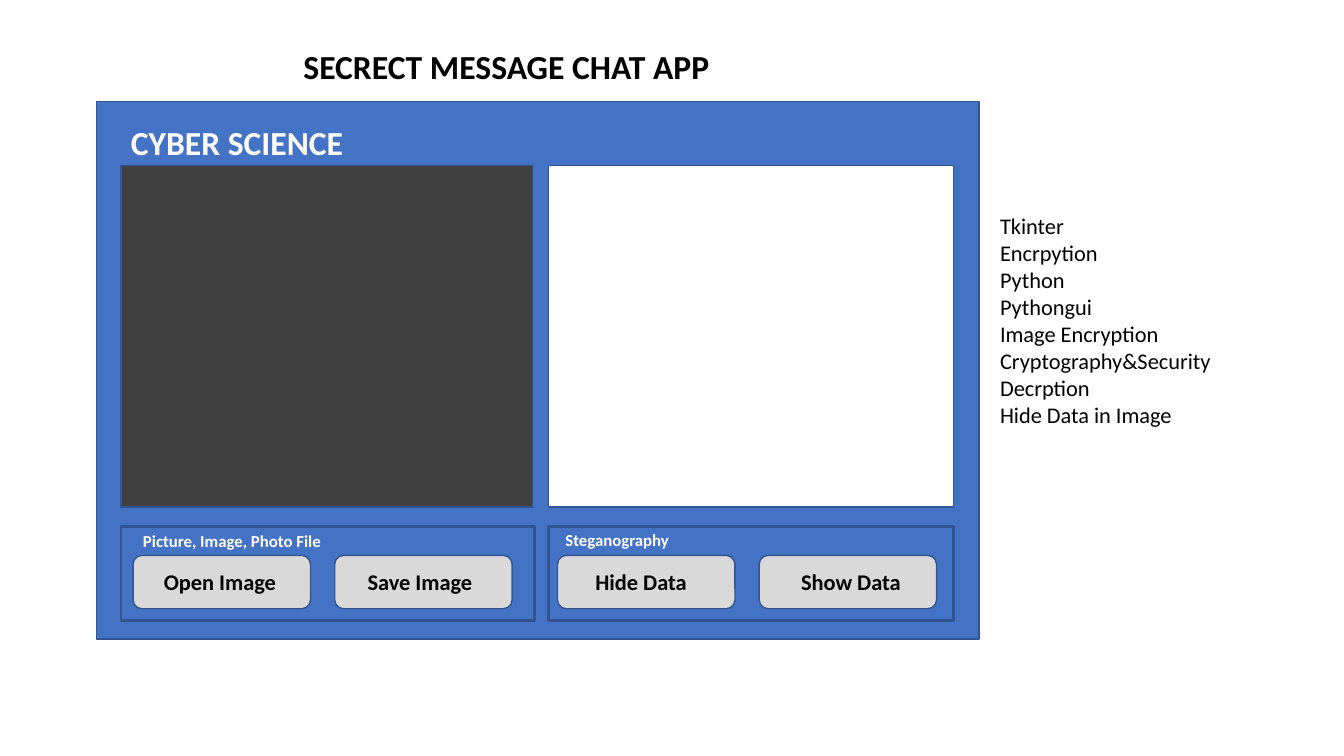
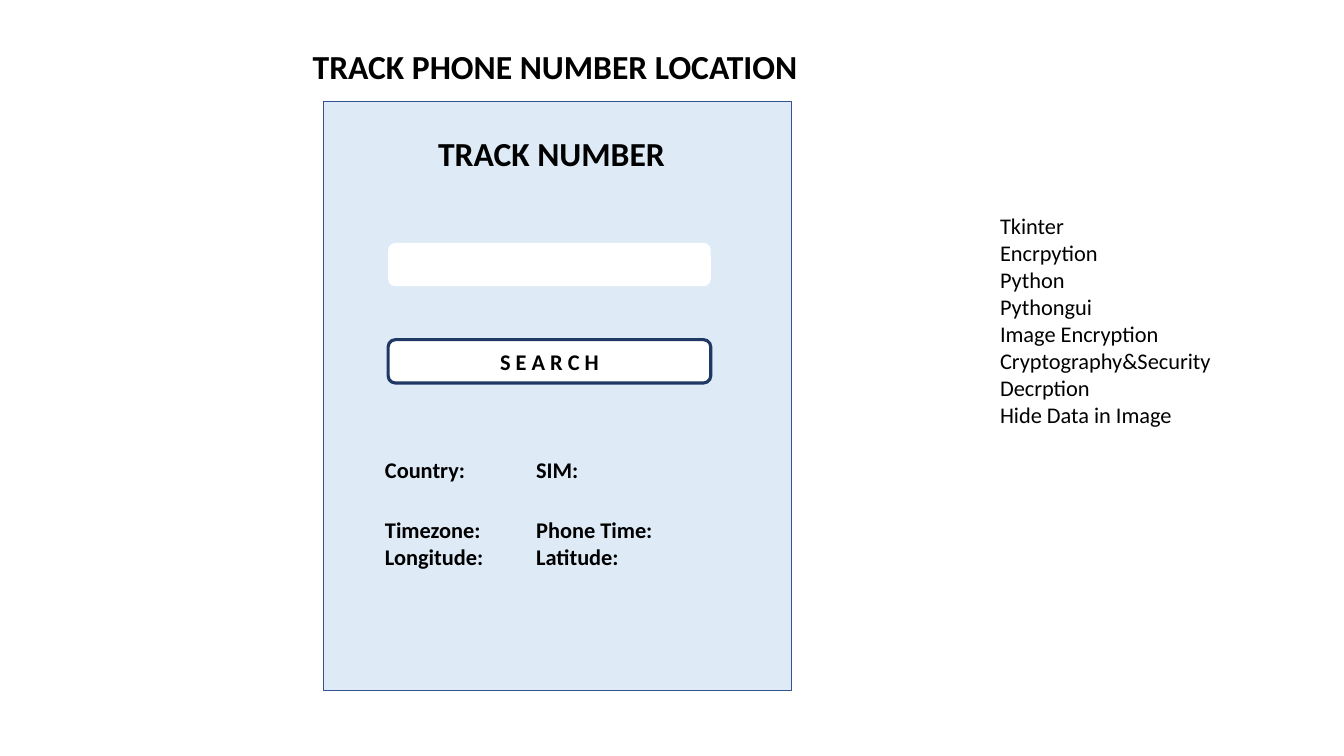
"""Build two app mock-up slides: a hidden-message tool and a phone tracker."""
from pptx import Presentation
from pptx.dml.color import RGBColor
from pptx.enum.shapes import MSO_SHAPE
from pptx.enum.text import MSO_ANCHOR, MSO_AUTO_SIZE, PP_ALIGN
from pptx.util import Inches, Pt

BLACK = RGBColor(0x00, 0x00, 0x00)
WHITE = RGBColor(0xFF, 0xFF, 0xFF)
BLUE = RGBColor(0x44, 0x72, 0xC4)
EDGE = RGBColor(0x32, 0x54, 0x91)
NAVY = RGBColor(0x20, 0x38, 0x64)
PALE = RGBColor(0xDE, 0xEB, 0xF7)
CHARCOAL = RGBColor(0x40, 0x40, 0x40)
GREY = RGBColor(0xD9, 0xD9, 0xD9)
RECT, ROUND = MSO_SHAPE.RECTANGLE, MSO_SHAPE.ROUNDED_RECTANGLE
LEFT, CENTER = PP_ALIGN.LEFT, PP_ALIGN.CENTER
TOP, MIDDLE = MSO_ANCHOR.TOP, MSO_ANCHOR.MIDDLE
FIXED = MSO_AUTO_SIZE.NONE
FONT = "Calibri"
TOPICS = "\n".join([
    "Tkinter", "Encrpytion", "Python", "Pythongui", "Image Encryption",
    "Cryptography&Security", "Decrption", "Hide Data in Image",
])


def write(box, text, size, bold=True, color=BLACK, align=LEFT, anchor=TOP):
    """Fill a box with text in one style."""
    frame = box.text_frame
    frame.text = text
    frame.word_wrap = True
    frame.auto_size = FIXED
    frame.vertical_anchor = anchor
    frame.margin_left = frame.margin_right = Inches(0.1)
    frame.margin_top = frame.margin_bottom = Inches(0.05)
    for para in frame.paragraphs:
        para.alignment = align
        for span in para.runs:
            span.font.name = FONT
            span.font.size = Pt(size)
            span.font.bold = bold
            span.font.color.rgb = color


def draw(page, kind, place, fill, line=EDGE, width=1):
    """Add a flat shape and return it."""
    shape = page.shapes.add_shape(kind, *map(Inches, place))
    shape.shadow.inherit = False
    shape.fill.solid()
    shape.fill.fore_color.rgb = fill
    if line is None:
        shape.line.fill.background()
    else:
        shape.line.color.rgb = line
        shape.line.width = Pt(width)
    return shape


deck = Presentation()
deck.slide_width, deck.slide_height = Inches(13.33), Inches(7.5)

pages = []
for heading, width, align in [
    ("SECRECT MESSAGE CHAT APP", 4.39, LEFT),
    ("TRACK PHONE NUMBER LOCATION", 5.19, CENTER),
]:
    page = deck.slides.add_slide(deck.slide_layouts[5])
    title = page.shapes.title
    title.left, title.top = Inches(2.91), Inches(0.41)
    title.width, title.height = Inches(width), Inches(0.5)
    write(title, heading, 24, align=align)
    topics = page.shapes.add_textbox(*map(Inches, (9.82, 2.06, 2.55, 2.32)))
    write(topics, TOPICS, 16, bold=False)
    pages.append(page)
chat, tracker = pages

draw(chat, RECT, (0.96, 1.01, 8.75, 5.33), BLUE)
app_name = chat.shapes.add_textbox(*map(Inches, (1.2, 1.16, 3.76, 0.5)))
write(app_name, "CYBER SCIENCE", 24, color=WHITE)

BUTTON_WIDTH, BUTTON_STEP = 1.76, 2
for left, view_width, group_width, view_fill, first, caption, caption_at, buttons in [
    (1.2, 4.08, 4.1, CHARCOAL, 1.32, "Picture, Image, Photo File", (1.32, 5.22),
     [("Open Image", 0.28), ("Save Image", 0.3)]),
    (5.44, 4.02, 4.02, WHITE, 5.53, "Steganography", (5.51, 5.21),
     [("Hide Data", 0.35), ("Show Data", 0.39)]),
]:
    draw(chat, RECT, (left, 1.64, view_width, 3.39), view_fill)
    draw(chat, RECT, (left, 5.22, group_width, 0.94), BLUE, width=2)
    label = chat.shapes.add_textbox(*map(Inches, (*caption_at, 3.76, 0.3)))
    write(label, caption, 12, color=WHITE)
    for column, (action, inset) in enumerate(buttons):
        place = (first + column * BUTTON_STEP, 5.51, BUTTON_WIDTH, 0.53)
        button = draw(chat, ROUND, place, GREY)
        write(button, action, 16, anchor=MIDDLE)
        button.text_frame.margin_left = Inches(inset)

draw(tracker, RECT, (3.21, 1.01, 4.64, 5.84), PALE)
draw(tracker, ROUND, (3.85, 2.41, 3.2, 0.43), WHITE, line=None)
search = draw(tracker, ROUND, (3.85, 3.37, 3.2, 0.43), WHITE, NAVY, 2.25)
write(search, "S E A R C H", 16, align=CENTER, anchor=MIDDLE)
for top, height, text, size, align in [
    (1.27, 0.5, "TRACK NUMBER", 24, CENTER),
    (4.48, 0.37, "Country:\t\tSIM:", 16, LEFT),
    (5.07, 0.64, "Timezone:\t\tPhone Time:\nLongitude:\t\tLatitude:", 16, LEFT),
]:
    box = tracker.shapes.add_textbox(*map(Inches, (3.72, top, 3.5, height)))
    write(box, text, size, align=align)

deck.save("out.pptx")
